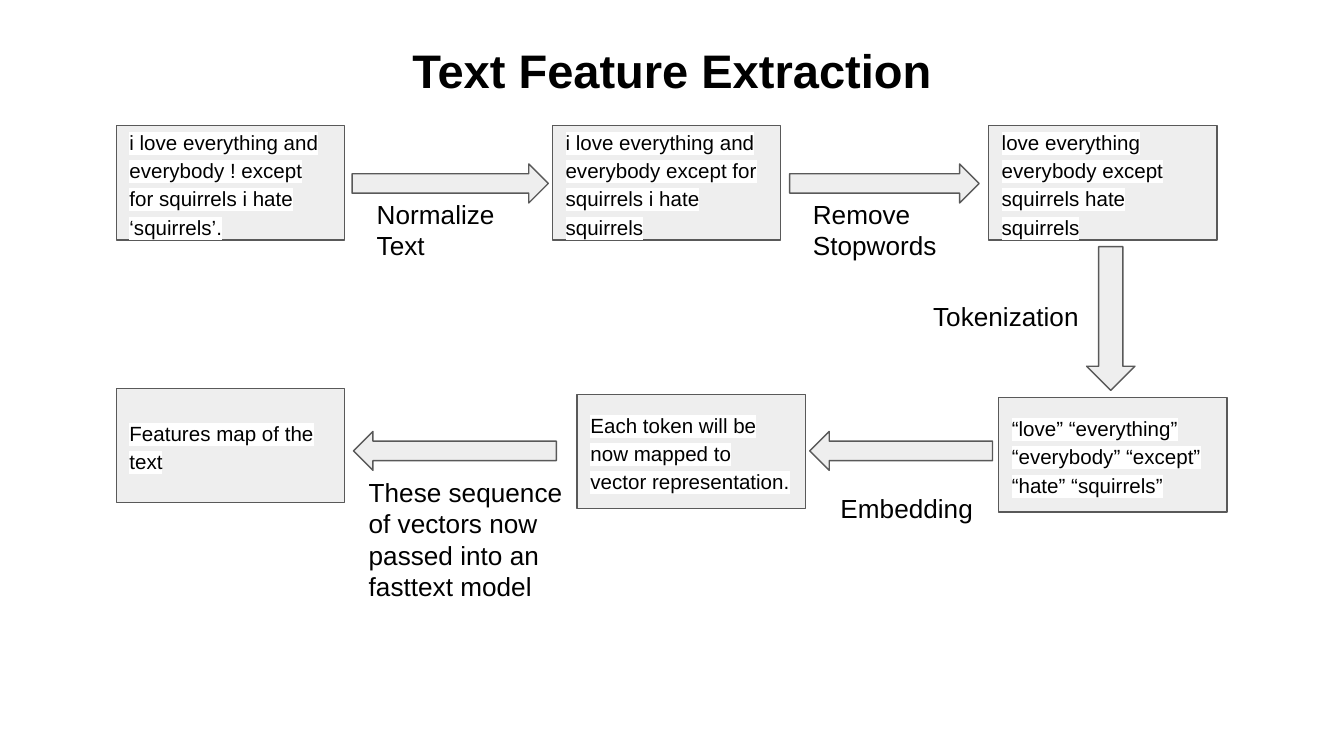
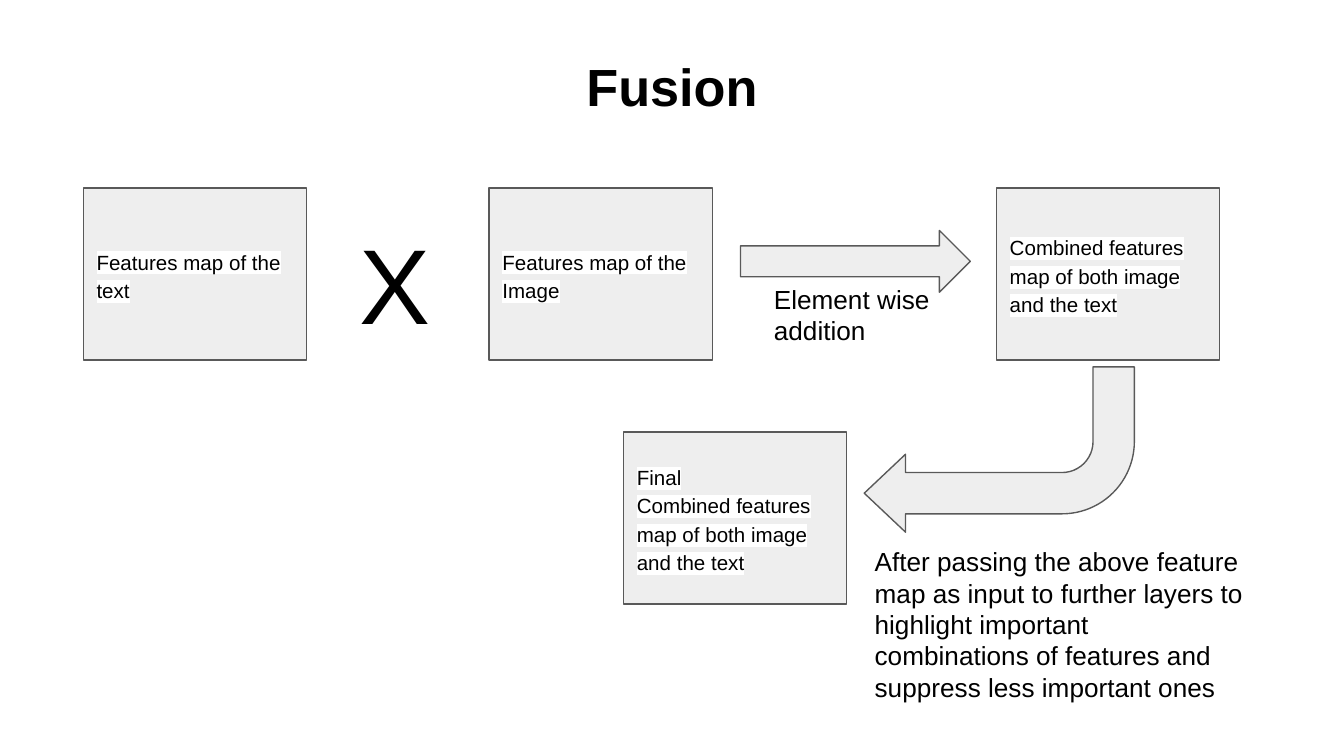
from typing import NamedTuple

from lxml.etree import SubElement
from pptx import Presentation
from pptx.dml.color import RGBColor
from pptx.enum.shapes import MSO_SHAPE
from pptx.enum.text import MSO_ANCHOR, MSO_AUTO_SIZE, PP_ALIGN
from pptx.oxml.ns import qn
from pptx.util import Emu, Pt

PX = 4572  # EMU per px, 200 px to the inch
COLORS = {"page": "FFFFFF", "fill": "EEEEEE", "line": "595959", "text": "000000"}
FONT = "Arial"
MARGIN = 20

# Size of the boxes on each slide
STEP = (340, 170)
PANEL = (332, 256)
ARROW_H = 58

FRAME = {"word_wrap": True, "auto_size": MSO_AUTO_SIZE.NONE,
         **{f"margin_{side}": Emu(MARGIN * PX)
            for side in ("left", "top", "right", "bottom")}}


class Title(NamedTuple):
    text: str
    x: int
    y: int
    w: int
    h: int
    size: float
    anchor: MSO_ANCHOR


class Box(NamedTuple):
    x: int
    y: int
    size: tuple[int, int]
    text: str


class Arrow(NamedTuple):
    kind: MSO_SHAPE
    x: int
    y: int
    w: int
    h: int = ARROW_H
    adj: tuple[float, ...] = (0.5, 0.5)
    rotation: int = 0


class Note(NamedTuple):
    x: int
    y: int
    w: int
    h: int
    text: str
    size: int = 14
    grow: bool = False


def rgb(name: str) -> RGBColor:
    return RGBColor.from_string(COLORS[name])


def emu(*lengths: int) -> list[Emu]:
    return [Emu(n * PX) for n in lengths]


def apply(target, values: dict) -> None:
    for name, value in values.items():
        setattr(target, name, value)


def write(sp, text: str, size: float, *, bold: bool = False,
          highlight: bool = False, frame: dict | None = None,
          para: dict | None = None) -> None:
    """Fill a shape with text, one paragraph per line."""
    tf = sp.text_frame
    apply(tf, FRAME | {"vertical_anchor": MSO_ANCHOR.TOP} | (frame or {}))
    for i, line in enumerate(text.split("\n")):
        p = tf.paragraphs[0] if i == 0 else tf.add_paragraph()
        apply(p, {"alignment": PP_ALIGN.LEFT} | (para or {}))
        r = p.add_run()
        r.text = line
        apply(r.font, {"name": FONT, "size": Pt(size), "bold": bold})
        r.font.color.rgb = rgb("text")
        if highlight:
            rPr = r.font._element
            mark = SubElement(rPr, qn("a:highlight"))
            SubElement(mark, qn("a:srgbClr"), val=COLORS["page"])
            rPr.find(qn("a:solidFill")).addnext(mark)


def add_outlined(s, kind: MSO_SHAPE, x: int, y: int, w: int, h: int):
    sp = s.shapes.add_shape(kind, *emu(x, y, w, h))
    sp.shadow.inherit = False
    sp.fill.solid()
    sp.fill.fore_color.rgb = rgb("fill")
    sp.line.color.rgb = rgb("line")
    sp.line.width = Pt(0.75)
    return sp


def draw_title(s, t: Title) -> None:
    sp = s.shapes.title
    apply(sp, dict(zip(("left", "top", "width", "height"), emu(t.x, t.y, t.w, t.h))))
    write(sp, t.text, t.size, bold=True, frame={"vertical_anchor": t.anchor},
          para={"alignment": PP_ALIGN.CENTER})


def draw_box(s, b: Box) -> None:
    sp = add_outlined(s, MSO_SHAPE.RECTANGLE, b.x, b.y, *b.size)
    write(sp, b.text, 11, highlight=True,
          frame={"vertical_anchor": MSO_ANCHOR.MIDDLE}, para={"line_spacing": 1.15})


def draw_arrow(s, a: Arrow) -> None:
    sp = add_outlined(s, a.kind, a.x, a.y, a.w, a.h)
    sp.rotation = a.rotation
    for i, value in enumerate(a.adj):
        sp.adjustments[i] = value


def draw_note(s, n: Note) -> None:
    sp = s.shapes.add_textbox(*emu(n.x, n.y, n.w, n.h))
    fit = MSO_AUTO_SIZE.SHAPE_TO_FIT_TEXT if n.grow else MSO_AUTO_SIZE.NONE
    write(sp, n.text, n.size, frame={"auto_size": fit})


DRAW = {Title: draw_title, Box: draw_box, Arrow: draw_arrow, Note: draw_note}

TEXT_FEATURES = [
    Title("Text Feature Extraction", 147, 36, 1706, 130, 25.2, MSO_ANCHOR.BOTTOM),
    # Cleaning steps, left to right
    Box(173, 187, STEP, "i love everything and everybody ! except for squirrels "
                        "i hate ‘squirrels’."),
    Arrow(MSO_SHAPE.RIGHT_ARROW, 524, 244, 292),
    Box(822, 187, STEP, "i love everything and everybody except for squirrels "
                        "i hate squirrels"),
    Note(541, 275, 240, 46, "Normalize Text"),
    Arrow(MSO_SHAPE.RIGHT_ARROW, 1175, 244, 282),
    Note(1190, 275, 240, 46, "Remove Stopwords"),
    Box(1471, 187, STEP, "love everything everybody except squirrels hate squirrels"),
    # Tokens
    Arrow(MSO_SHAPE.DOWN_ARROW, 1617, 367, 72, 214),
    Box(1486, 592, STEP, "“love” “everything” “everybody” “except” “hate” “squirrels”"),
    Note(1369, 427, 272, 94, "Tokenization"),
    # Vectors and features, right to left
    Arrow(MSO_SHAPE.LEFT_ARROW, 1205, 642, 272),
    Box(859, 587, STEP, "Each token will be now mapped to vector representation."),
    Note(1231, 713, 256, 72, "Embedding"),
    Box(173, 578, STEP, "Features map of the text"),
    Arrow(MSO_SHAPE.LEFT_ARROW, 526, 642, 302),
    Note(529, 689, 342, 228,
         "These sequence of vectors now passed into an fasttext model", grow=True),
]

FUSION = [
    Title("Fusion", 68, 41, 1864, 174, 28, MSO_ANCHOR.MIDDLE),
    # Inputs and their combination
    Box(124, 280, PANEL, "Features map of the text"),
    Box(728, 280, PANEL, "Features map of the Image"),
    Note(515, 304, 220, 248, "X", 57),
    Arrow(MSO_SHAPE.RIGHT_ARROW, 1102, 343, 342, 92),
    Box(1483, 280, PANEL, "Combined features map of both image and the text"),
    Note(1132, 401, 312, 178, "Element wise addition"),
    # Final result
    Arrow(MSO_SHAPE.BENT_ARROW, 1286, 546, 402, 246, (0.25, 0.236, 0.25, 0.438), 180),
    Box(928, 643, PANEL, "Final\nCombined features map of both image and the text"),
    Note(1282, 792, 594, 276,
         "After passing the above feature map as input to further layers to "
         "highlight important combinations of features and suppress less "
         "important ones", grow=True),
]


def main() -> None:
    prs = Presentation()
    prs.slide_width, prs.slide_height = emu(2000, 1125)
    title_only = prs.slide_layouts[5]
    for parts in (TEXT_FEATURES, FUSION):
        s = prs.slides.add_slide(title_only)
        s.background.fill.solid()
        s.background.fill.fore_color.rgb = rgb("page")
        for part in parts:
            DRAW[type(part)](s, part)
    prs.save("out.pptx")


if __name__ == "__main__":
    main()
